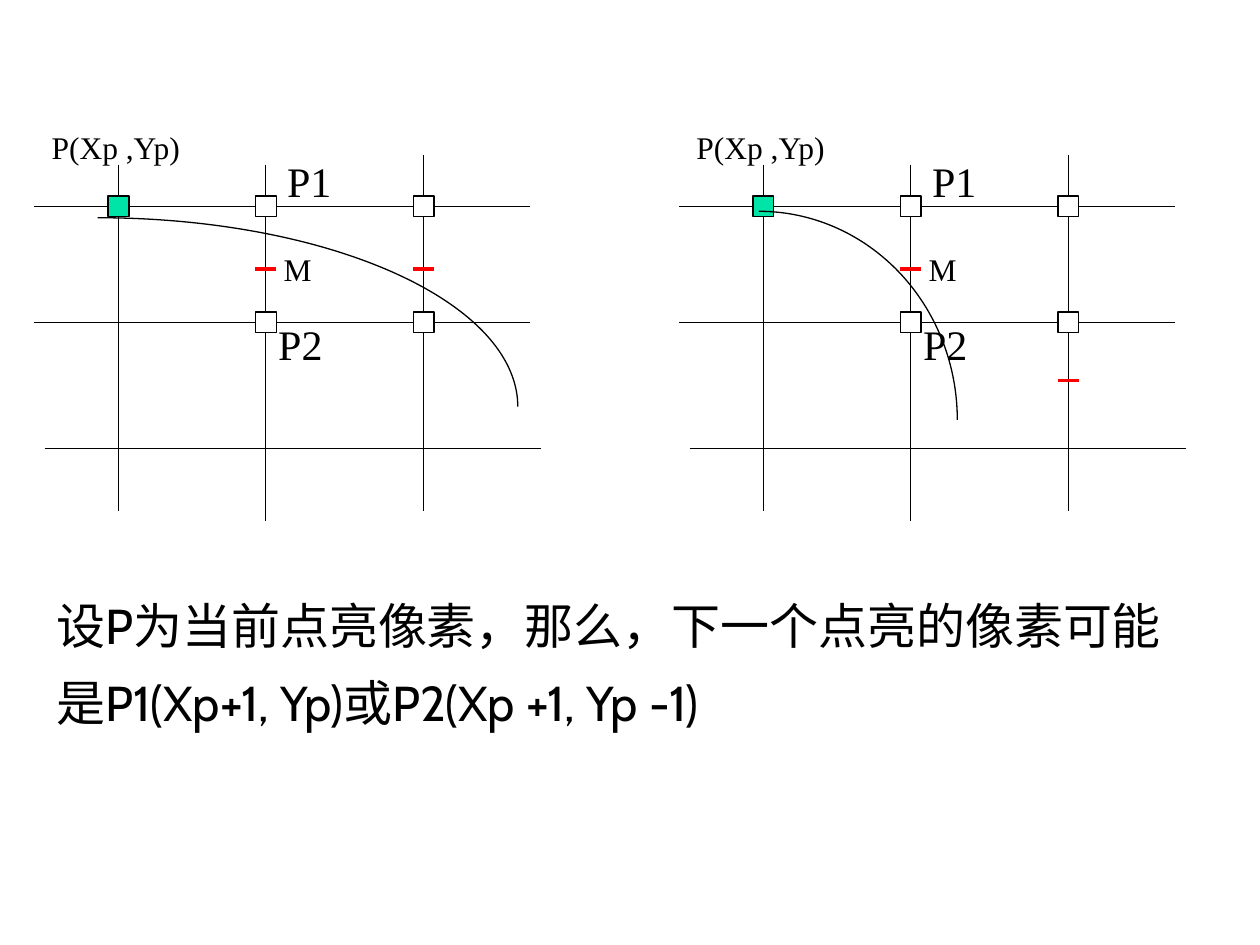
import dataclasses

import pptx
import pptx.dml.color
import pptx.enum.shapes
import pptx.enum.text
import pptx.oxml.ns
import pptx.util
from lxml import etree

Cm = pptx.util.Cm
Pt = pptx.util.Pt
ShapeType = pptx.enum.shapes.MSO_SHAPE


@dataclasses.dataclass(frozen=True)
class Theme:
    ink: str = "000000"
    paper: str = "FFFFFF"
    current: str = "00E4A8"
    midpoint: str = "FF0000"
    label_font: str = "Times New Roman"
    body_font: str = "Cabin"
    small: int = 18
    large: int = 24
    body: int = 28
    thin: float = 0.75
    thick: float = 2.25


THEME = Theme()
COLUMNS = (1.7, 4.67, 7.85)
ROWS = (1.7, 4.04, 6.58)
ROW_STARTS = (0, 0, 0.21)
ROW_LENGTH = 10
COLUMN_SPANS = ((0.86, 7.85), (0.86, 8.05), (0.66, 7.85))
PIXEL = 0.42
LABELS = (
    ("M", 4.78, 2.46, 1.07, 1.02, THEME.small),
    ("P1", 4.85, 0.56, 1.4, 1.27, THEME.large),
    ("P2", 4.67, 3.84, 1.4, 1.27, THEME.large),
    ("P(Xp ,Yp)", 0.1, 0, 3.15, 1.02, THEME.small),
)


def rgb(color):
    return pptx.dml.color.RGBColor.from_string(color)


def add_line(shapes, start, end, color, width):
    connector = shapes.add_connector(
        pptx.enum.shapes.MSO_CONNECTOR.STRAIGHT, *map(Cm, (*start, *end)))
    connector.line.color.rgb = rgb(color)
    connector.line.width = Pt(width)
    properties = connector._element.spPr
    etree.SubElement(properties, pptx.oxml.ns.qn("a:effectLst"))


def add_outline(shapes, kind, box, fill=None):
    shape = shapes.add_shape(kind, *map(Cm, box))
    shape.shadow.inherit = False
    if fill:
        shape.fill.solid()
        shape.fill.fore_color.rgb = rgb(fill)
    else:
        shape.fill.background()
    shape.line.color.rgb = rgb(THEME.ink)
    shape.line.width = Pt(THEME.thin)


def add_text(shapes, box, text, font, size, wrap=False):
    text_frame = shapes.add_textbox(*map(Cm, box)).text_frame
    text_frame.word_wrap = wrap
    text_frame.auto_size = pptx.enum.text.MSO_AUTO_SIZE.SHAPE_TO_FIT_TEXT
    text_frame.text = text
    paragraph = text_frame.paragraphs[0]
    run = paragraph.runs[0]
    run.font.name = font
    run.font.size = Pt(size)
    run.font.color.rgb = rgb(THEME.ink)
    return paragraph


def add_pixel_grid(slide, left, top, ticks, arc):
    shapes = slide.shapes.add_group_shape().shapes
    for start, y in zip(ROW_STARTS, ROWS):
        add_line(shapes, (left + start, top + y),
                 (left + start + ROW_LENGTH, top + y), THEME.ink, THEME.thin)
    for x, (upper, lower) in zip(COLUMNS, COLUMN_SPANS):
        add_line(shapes, (left + x, top + upper), (left + x, top + lower),
                 THEME.ink, THEME.thin)
    for x, y in zip(COLUMNS[1:], ticks):
        add_line(shapes, (left + x - PIXEL / 2, top + y),
                 (left + x + PIXEL / 2, top + y), THEME.midpoint, THEME.thick)

    candidates = [(x, y, THEME.paper) for y in ROWS[:2] for x in COLUMNS[1:]]
    for x, y, fill in candidates + [(COLUMNS[0], ROWS[0], THEME.current)]:
        box = (left + x - PIXEL / 2, top + y - PIXEL / 2, PIXEL, PIXEL)
        add_outline(shapes, ShapeType.RECTANGLE, box, fill)

    for text, x, y, width, height, size in LABELS:
        add_text(shapes, (left + x, top + y, width, height),
                 text, THEME.label_font, size)

    x, y, width, height = arc
    add_outline(shapes, ShapeType.ARC, (left + x, top + y, width, height))


def add_explanation(slide, box):
    paragraph = add_text(
        slide.shapes, box,
        "设P为当前点亮像素，那么，下一个点亮的像素可能是P1(Xp+1, Yp)或P2(Xp +1, Yp -1)",
        THEME.body_font, THEME.body, wrap=True)
    paragraph.line_spacing = 1.3


def main():
    presentation = pptx.Presentation()
    presentation.slide_width = Cm(25.4)
    presentation.slide_height = Cm(19.05)
    slide = presentation.slides.add_slide(presentation.slide_layouts[6])
    add_pixel_grid(slide, 0.69, 2.46, (2.97, 2.97), (-7.19, 1.93, 16.94, 7.62))
    add_explanation(slide, (0.89, 11.53, 23.6, 3.35))
    add_pixel_grid(slide, 13.69, 2.46, (2.97, 5.21), (-2.39, 1.8, 8, 8.41))
    presentation.save("out.pptx")


if __name__ == "__main__":
    main()
